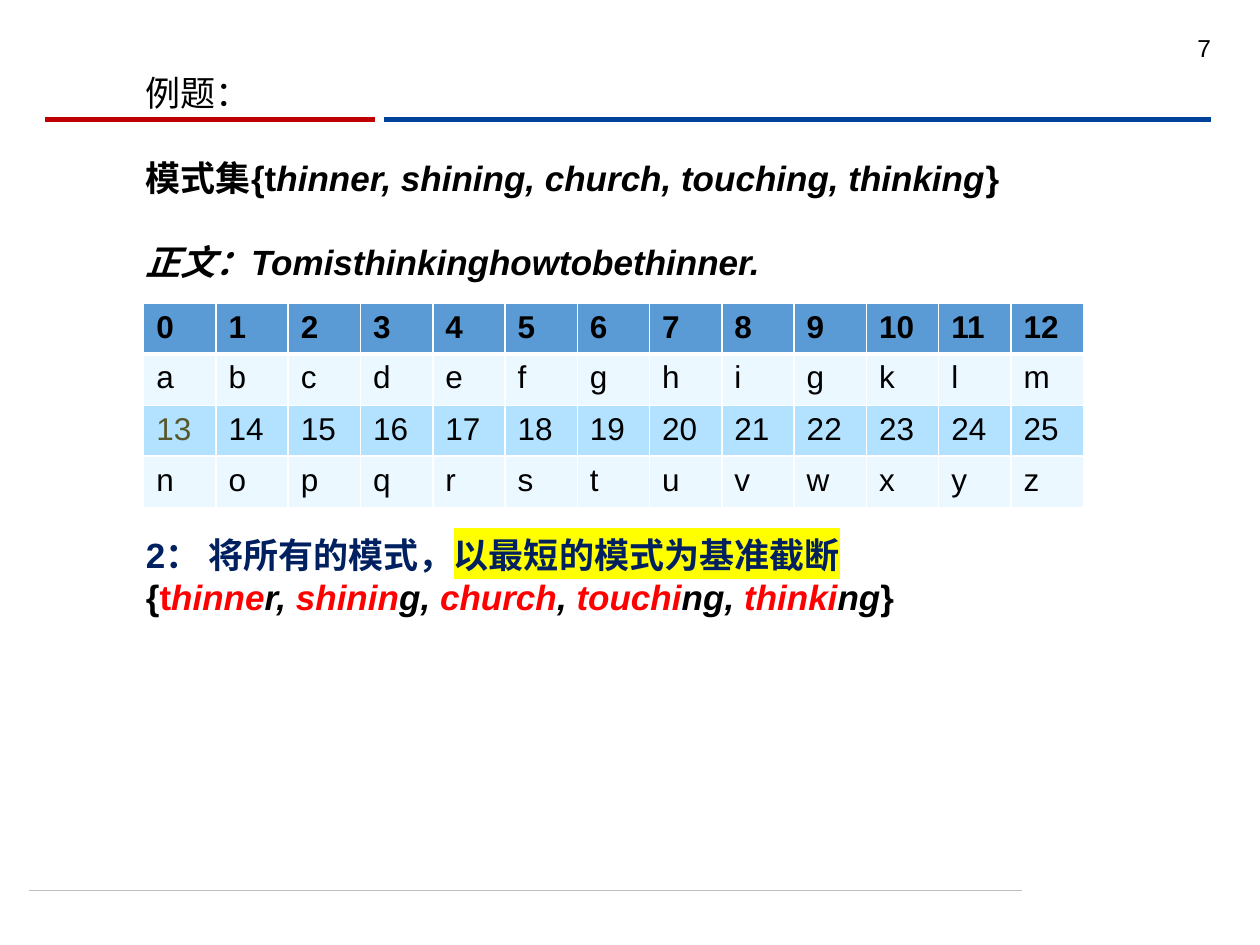
from lxml import etree
from pptx import Presentation
from pptx import util as u
from pptx.dml.color import RGBColor
from pptx.enum import shapes, text
from pptx.oxml import ns

COLORS = {
    "black": "000000", "white": "FFFFFF", "navy": "002060", "red": "FF0000",
    "yellow": "FFFF00", "olive": "59582D", "rule_red": "C00000",
    "rule_blue": "004299", "rule_gray": "BFBFBF",
    "header": "5B9BD5", "letters": "ECF8FF", "numbers": "B2E2FF",
}
COLUMNS = 13
ROWS = [
    (range(COLUMNS), "header", 0.4),
    ("abcdefghigklm", "letters", 0.41),
    (range(COLUMNS, 2 * COLUMNS), "numbers", 0.4),
    ("nopqrstuvwxyz", "letters", 0.41),
]
RULES = [  # left, right, height on the slide, colour, width
    (0.23, 8.11, 7.07, "rule_gray", 0.5),
    (3.05, 9.61, 0.95, "rule_blue", 3),
    (0.36, 2.98, 0.95, "rule_red", 3),
]
BOLD = {"bold": True}
ITALIC = {"bold": True, "italic": True}
RED = {"bold": True, "italic": True, "color": "red"}
NAVY = {"bold": True, "color": "navy"}
PARAGRAPHS = [  # space before in points, runs
    (0, [("例题：", {})]),
    (24.5, [("模式集{t", BOLD),
            ("hinner, shining, church, touching, thinking", ITALIC),
            ("}", BOLD)]),
    (24, [("正文：Tomisthinkinghowtobethinner.", ITALIC)]),
    (143.5, [("2： 将所有的模式，", NAVY),
             ("以最短的模式为基准截断", {**NAVY, "highlight": "yellow"})]),
    (0, [("{", BOLD), ("t", {"bold": True, "color": "red"}),
         ("hinne", RED), ("r,", ITALIC), (" shinin", RED), ("g, ", ITALIC),
         ("church", RED), (", ", ITALIC), ("touchi", RED), ("ng, ", ITALIC),
         ("thinki", RED), ("ng", ITALIC), ("}", BOLD)]),
]


def rgb(name):
    return RGBColor.from_string(COLORS[name])


def add_color(parent, tag, name):
    """Append a colour holder such as a:solidFill or a:highlight."""
    holder = etree.SubElement(parent, ns.qn(tag))
    etree.SubElement(holder, ns.qn("a:srgbClr"), val=COLORS[name])
    return holder


def add_run(p, content, size, color="black", highlight=None, **style):
    r = p.add_run()
    r.text = content
    font = {"size": u.Pt(size), "name": "Arial", "bold": False, "italic": False}
    for key, value in {**font, **style}.items():
        setattr(r.font, key, value)
    r.font.color.rgb = rgb(color)
    if highlight:
        rPr = r.font._element
        mark = add_color(rPr, "a:highlight", highlight)
        rPr.find(ns.qn("a:solidFill")).addnext(mark)


def add_rule(s, left, right, y, color, width):
    line = s.shapes.add_connector(
        shapes.MSO_CONNECTOR.STRAIGHT,
        u.Inches(left), u.Inches(y), u.Inches(right), u.Inches(y))
    line.line.color.rgb = rgb(color)
    line.line.width = u.Pt(width)
    etree.SubElement(line._element.spPr, ns.qn("a:effectLst"))


def add_text_box(s, *box):
    tf = s.shapes.add_textbox(*map(u.Inches, box)).text_frame
    tf.word_wrap = True
    return tf


def add_page_number(s, number):
    p = add_text_box(s, 9.1, 0.21, 0.61, 0.52).paragraphs[0]
    p.alignment = text.PP_ALIGN.RIGHT
    add_run(p, number, 14)


def add_body(s):
    tf = add_text_box(s, 1.06, 0.52, 7.5, 7.17)
    tf.auto_size = text.MSO_AUTO_SIZE.SHAPE_TO_FIT_TEXT
    for i, (space, runs) in enumerate(PARAGRAPHS):
        p = tf.add_paragraph() if i else tf.paragraphs[0]
        p.space_before = u.Pt(space)
        for content, style in runs:
            add_run(p, content, 20, **style)


def set_borders(cell, **widths):
    tcPr = cell._tc.get_or_add_tcPr()
    for side in "LRTB":
        width = u.Pt(widths.get(side, 1))
        ln = etree.SubElement(tcPr, ns.qn(f"a:ln{side}"), w=str(width))
        add_color(ln, "a:solidFill", "white")


def add_alphabet_table(s):
    """Table of the letters and their numbers."""
    height = sum(row[2] for row in ROWS)
    table = s.shapes.add_table(
        len(ROWS), COLUMNS, u.Inches(1.14), u.Inches(2.41),
        u.Inches(7.46), u.Inches(height)).table
    for i, (values, fill, row_height) in enumerate(ROWS):
        table.rows[i].height = u.Inches(row_height)
        thick = {0: {"B": 3}, 1: {"T": 3}}.get(i, {})
        for j, value in enumerate(values):
            cell = table.cell(i, j)
            set_borders(cell, **thick)
            cell.fill.solid()
            cell.fill.fore_color.rgb = rgb(fill)
            color = "olive" if value == COLUMNS else "black"
            add_run(cell.text_frame.paragraphs[0], str(value), 18, color,
                    bold=i == 0)


def main():
    prs = Presentation()
    prs.slide_width, prs.slide_height = u.Inches(10), u.Inches(7.5)
    s = prs.slides.add_slide(prs.slide_layouts[6])
    for rule in RULES:
        add_rule(s, *rule)
    add_page_number(s, "7")
    add_body(s)
    add_alphabet_table(s)
    prs.save("out.pptx")


if __name__ == "__main__":
    main()
